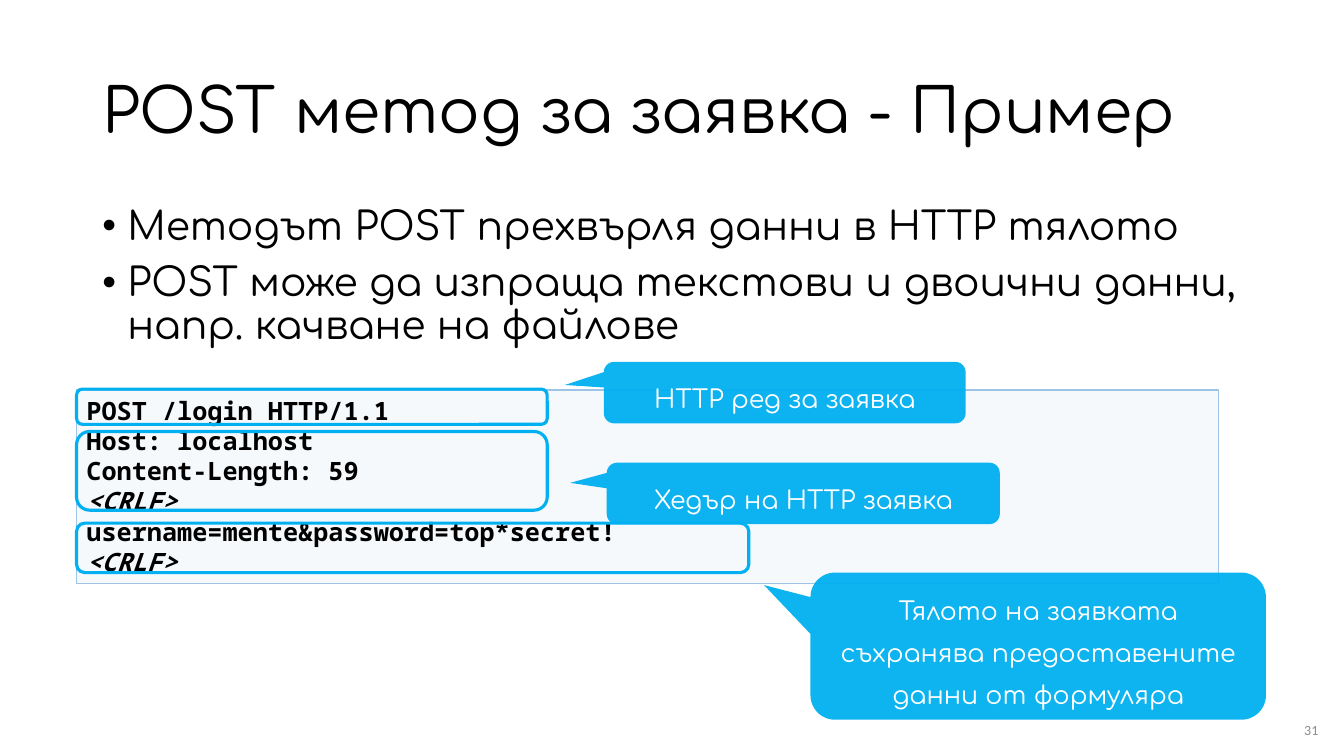
import pptx
import pptx.util
import pptx.dml.color
import pptx.enum.shapes
import pptx.enum.text
from lxml import etree

Pt = pptx.util.Pt
RGB = pptx.dml.color.RGBColor
Kind = pptx.enum.shapes.MSO_SHAPE
Align = pptx.enum.text.PP_ALIGN
Anchor = pptx.enum.text.MSO_ANCHOR

BLACK = RGB(0, 0, 0)
WHITE = RGB(255, 255, 255)
GRAY = RGB(0x8C, 0x8C, 0x8C)
CYAN = RGB(0x00, 0xB0, 0xF0)
PALE = RGB(0xBD, 0xD7, 0xEE)
EDGE = RGB(0x9D, 0xC3, 0xE6)
FONT = "Comfortaa"
MONO = "Noto Sans Mono"

TITLE = "POST метод за заявка - Пример"
POINTS = [
    "Методът POST прехвърля данни в HTTP тялото",
    "POST може да изпраща текстови и двоични данни, напр. качване на файлове",
]
CODE = [
    "POST /login HTTP/1.1",
    "Host: localhost",
    "Content-Length: 59",
    "<CRLF>",
    "username=mente&password=top*secret!",
    "<CRLF>",
]
PAGE = "31"
# text, (left, top, width, height), tip offset (x, y)
CALLS = [
    ("HTTP ред за заявка", (431.3, 258.5, 258.5, 43.9), (-0.608, -0.124)),
    ("Хедър на HTTP заявка", (433.4, 330.5, 280.8, 43.9), (-0.593, -0.172)),
    ("Тялото на заявката съхранява предоставените данни от формуляра",
     (578.9, 409, 325.4, 105.1), (-0.602, -0.415)),
]
LEFT = 54.7
# top, width, height
FRAMES = [(277.9, 336.2, 25.2), (308.2, 336.2, 56.2), (373.7, 480.2, 35.3)]

deck = pptx.Presentation()
deck.slide_width, deck.slide_height = Pt(960), Pt(540)
slide = deck.slides.add_slide(deck.slide_layouts[6])


def add_text(shape, lines, size, font, color, align=Align.LEFT, anchor=Anchor.TOP):
    """Fill a shape with one run per paragraph; return the paragraphs."""
    frame = shape.text_frame
    frame.word_wrap = True
    frame.vertical_anchor = anchor
    for i, line in enumerate(lines):
        para = frame.add_paragraph() if i else frame.paragraphs[0]
        para.alignment = align
        run = para.add_run()
        run.text = line
        run.font.size = Pt(size)
        run.font.name = font
        run.font.color.rgb = color
    return frame.paragraphs


def add_box(*area):
    return slide.shapes.add_textbox(*map(Pt, area))


def add_shape(kind, area, fill=None, alpha=100, line=None, width=1):
    shape = slide.shapes.add_shape(kind, *map(Pt, area))
    shape.shadow.inherit = False
    if fill is None:
        shape.fill.background()
    else:
        shape.fill.solid()
        shape.fill.fore_color.rgb = fill
        tint = shape.fill._xPr.find(".//" + pptx.oxml.ns.qn("a:srgbClr"))
        etree.SubElement(tint, pptx.oxml.ns.qn("a:alpha"), val=str(alpha * 1000))
    if line is None:
        shape.line.fill.background()
    else:
        shape.line.color.rgb = line
        shape.line.width = Pt(width)
    return shape


def add_bullet(para):
    props = para._p.get_or_add_pPr()
    props.set("marL", str(Pt(18)))
    props.set("indent", str(Pt(-18)))
    etree.SubElement(props, pptx.oxml.ns.qn("a:buFont"), typeface="Arial")
    etree.SubElement(props, pptx.oxml.ns.qn("a:buChar"), char="•")


page = add_box(910.8, 514.1, 33.8, 15.1)
add_text(page, [PAGE], 10, "Calibri", GRAY, Align.RIGHT, Anchor.MIDDLE)
edges = page.text_frame
edges.margin_left = edges.margin_right = Pt(2.9)
edges.margin_top = edges.margin_bottom = Pt(2.9)

for para in add_text(add_box(66, 144, 828, 342.7), POINTS, 28, FONT, BLACK):
    para.line_spacing = 0.9
    para.space_before = Pt(10)
    add_bullet(para)

title = add_box(66, 28.8, 828, 104.4)
add_text(title, [TITLE], 44, FONT, BLACK, anchor=Anchor.MIDDLE)[0].line_spacing = 0.9

panel = add_shape(Kind.RECTANGLE, (LEFT, 278.6, 815.8, 138.2), PALE, 15, EDGE)
for para in add_text(panel, CODE, 18, MONO, BLACK):
    font = para.runs[0].font
    font.bold = True
    font.italic = para.runs[0].text == "<CRLF>"

for text, area, tip in CALLS:
    call = add_shape(Kind.ROUNDED_RECTANGULAR_CALLOUT, area, CYAN, 95)
    call.adjustments[0], call.adjustments[1] = tip
    para = add_text(call, [text], 18, FONT, WHITE, Align.CENTER, Anchor.MIDDLE)[0]
    para.line_spacing = Pt(30)

for top, width, height in FRAMES:
    add_shape(Kind.ROUNDED_RECTANGLE, (LEFT, top, width, height), line=CYAN, width=2.25)

deck.save("out.pptx")
